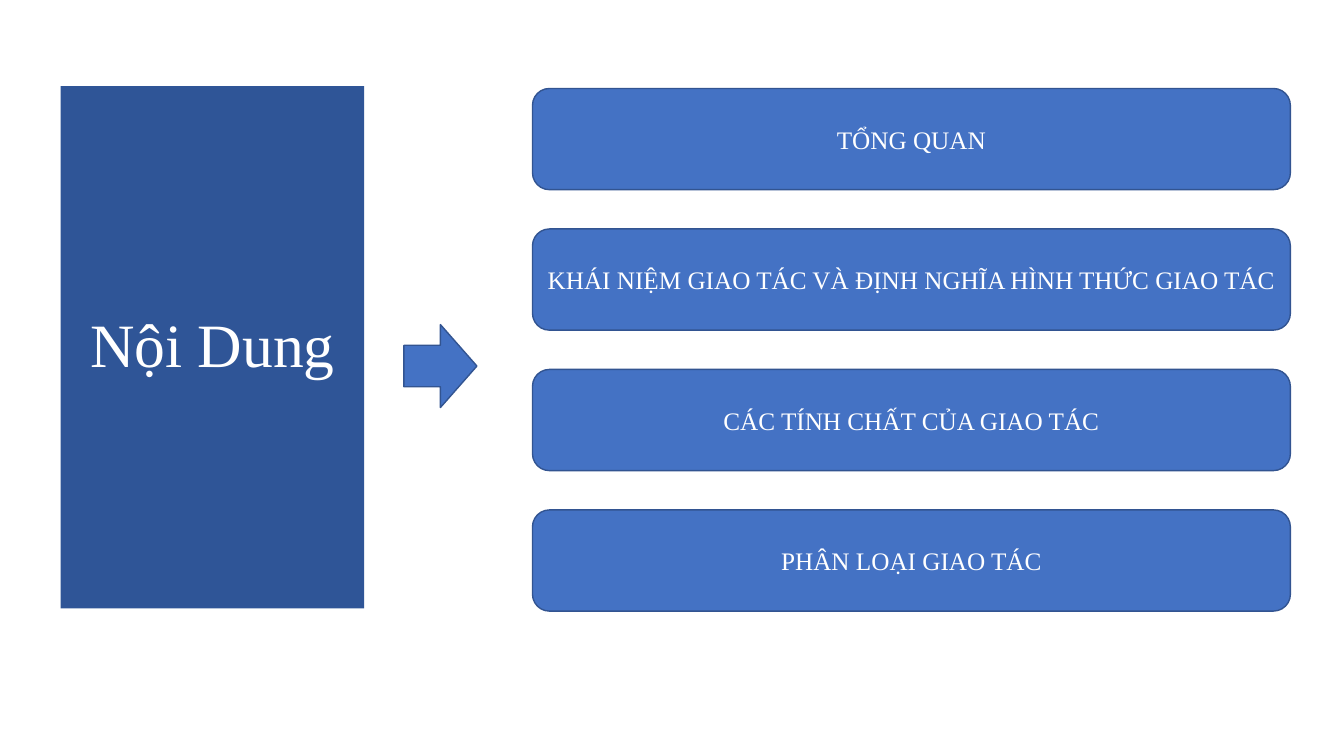
import pptx
import pptx.util
import pptx.dml.color
import pptx.enum.shapes
import pptx.enum.text

Cm = pptx.util.Cm
Pt = pptx.util.Pt
MSO_SHAPE = pptx.enum.shapes.MSO_SHAPE

COLORS = {"panel": "2F5597", "box": "4472C4", "edge": "325491", "text": "FFFFFF"}
TOPICS = [
    "TỔNG QUAN",
    "KHÁI NIỆM GIAO TÁC VÀ ĐỊNH NGHĨA HÌNH THỨC GIAO TÁC",
    "CÁC TÍNH CHẤT CỦA GIAO TÁC",
    "PHÂN LOẠI GIAO TÁC",
]
TOPIC_TOP, TOPIC_STEP = 2.23, 3.54


def rgb(name):
    return pptx.dml.color.RGBColor.from_string(COLORS[name])


def write(sp, text, size):
    tf = sp.text_frame
    tf.word_wrap = True
    tf.vertical_anchor = pptx.enum.text.MSO_ANCHOR.MIDDLE
    p = tf.paragraphs[0]
    p.alignment = pptx.enum.text.PP_ALIGN.CENTER
    r = p.add_run()
    r.text = text
    for key, value in {"name": "Times New Roman", "size": Pt(size), "bold": False}.items():
        setattr(r.font, key, value)
    r.font.color.rgb = rgb("text")
    return p


prs = pptx.Presentation()
prs.slide_width, prs.slide_height = Cm(33.87), Cm(19.05)
s = prs.slides.add_slide(prs.slide_layouts[5])

title = s.shapes.title
frame = {"left": 1.53, "top": 2.17, "width": 7.65, "height": 13.16}
for key, value in frame.items():
    setattr(title, key, Cm(value))
title.fill.solid()
title.fill.fore_color.rgb = rgb("panel")
write(title, "Nội Dung", 44).line_spacing = 0.9

arrow = s.shapes.add_shape(MSO_SHAPE.RIGHT_ARROW, Cm(10.18), Cm(8.18), Cm(1.84), Cm(2.09))
boxes = [arrow]
for i, topic in enumerate(TOPICS):
    sp = s.shapes.add_shape(
        MSO_SHAPE.ROUNDED_RECTANGLE,
        Cm(13.42), Cm(TOPIC_TOP + i * TOPIC_STEP), Cm(19.1), Cm(2.55),
    )
    write(sp, topic, 18)
    boxes.append(sp)

for sp in boxes:
    sp.shadow.inherit = False
    sp.fill.solid()
    sp.fill.fore_color.rgb = rgb("box")
    sp.line.color.rgb = rgb("edge")
    sp.line.width = Pt(1)

prs.save("out.pptx")
